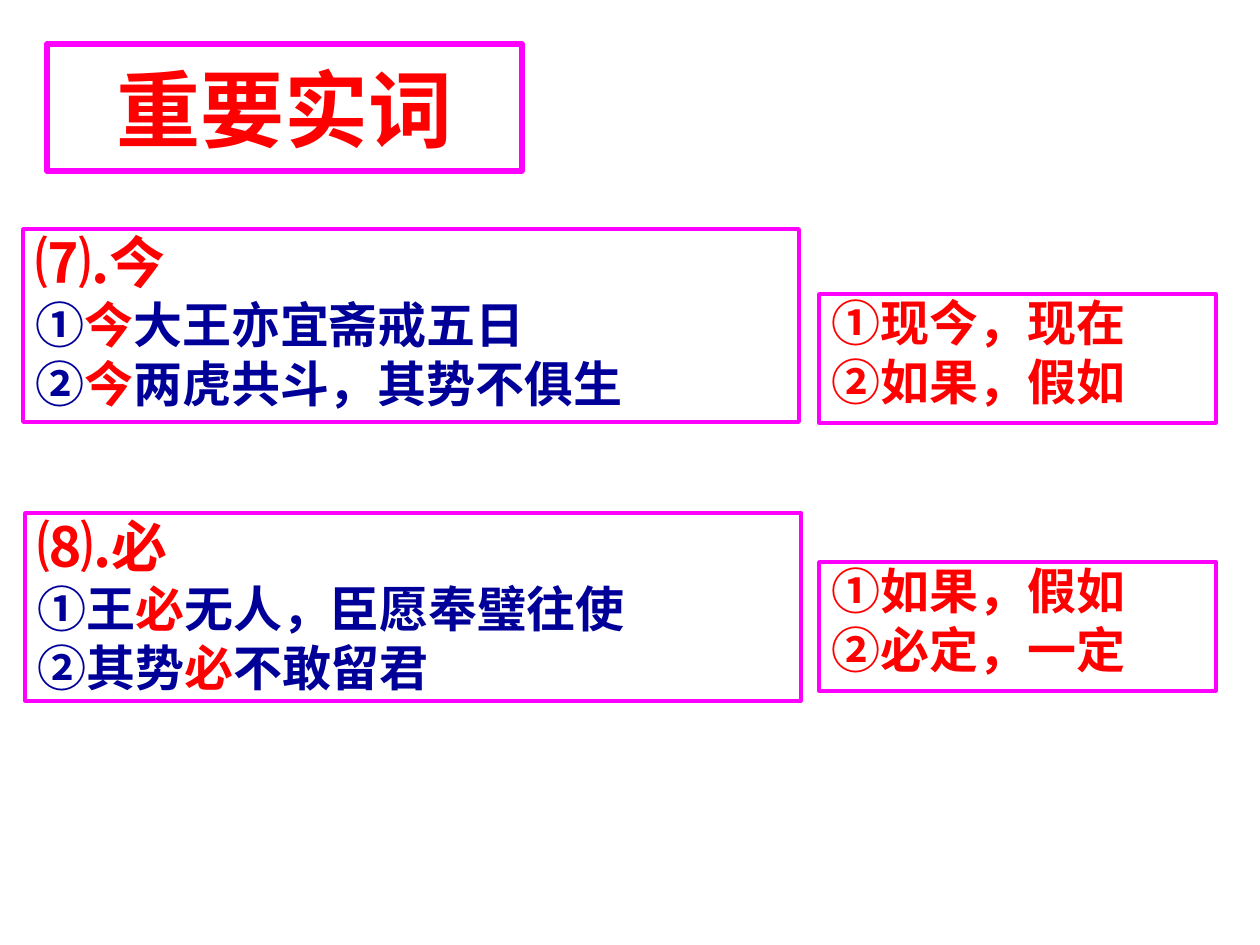
from lxml import etree
from pptx import Presentation
from pptx.dml.color import RGBColor
from pptx.enum.text import MSO_ANCHOR, PP_ALIGN
from pptx.oxml.ns import qn
from pptx.util import Emu, Pt

MIDDLE = MSO_ANCHOR.MIDDLE
CENTER = PP_ALIGN.CENTER
PX_PER_INCH = 126
CJK_FONT = "Noto Sans CJK SC"
RED, NAVY, MAGENTA = "FF0000", "000099", "FF00FF"


def px(length):
    return Emu(round(length * 914400 / PX_PER_INCH))


def color(hex_value):
    return RGBColor.from_string(hex_value)


class WordSlide:
    """Holds the slide and the style of its framed texts."""
    hanging = 48
    heading_size, heading_leading = 32, 34
    line_size, line_leading, line_gap = 28, 29, 4.7

    def __init__(self, slide):
        self.slide = slide

    def frame(self, left, top, width, height, border=2):
        box = self.slide.shapes.add_textbox(px(left), px(top), px(width), px(height))
        box.line.color.rgb = color(MAGENTA)
        box.line.width = Pt(border)
        box.text_frame.word_wrap = True
        return box.text_frame

    def run(self, paragraph, text, size, hex_value, font=CJK_FONT):
        run = paragraph.add_run()
        run.text = text
        run.font.name = font
        run.font.size = Pt(size)
        run.font.bold = True
        run.font.color.rgb = color(hex_value)
        east_asian = etree.SubElement(run._r.get_or_add_rPr(), qn("a:ea"))
        east_asian.set("typeface", CJK_FONT)

    def title(self, text, *place):
        frame = self.frame(*place, border=3)
        frame.vertical_anchor = MIDDLE
        paragraph = frame.paragraphs[0]
        paragraph.alignment = CENTER
        self.run(paragraph, text, 48, RED, "Times New Roman")

    def hang(self, paragraph, leading):
        properties = paragraph._p.get_or_add_pPr()
        properties.set("marL", str(px(self.hanging)))
        properties.set("indent", str(-px(self.hanging)))
        paragraph.line_spacing = Pt(leading)

    def lines(self, place, lines, heading=None):
        """Each line is a list of (text, colour) pairs."""
        frame = self.frame(*place)
        paragraph = frame.paragraphs[0]
        if heading:
            self.hang(paragraph, self.heading_leading)
            self.run(paragraph, heading, self.heading_size, RED)
        for index, parts in enumerate(lines):
            if heading or index:
                paragraph = frame.add_paragraph()
                paragraph.space_before = Pt(self.line_gap)
            self.hang(paragraph, self.line_leading)
            for text, hex_value in parts:
                self.run(paragraph, text, self.line_size, hex_value)

    def examples(self, heading, keyword, sentences, *place):
        """Sentences in navy, with the keyword between their two parts in red."""
        self.lines(place, [[(before, NAVY), (keyword, RED), (after, NAVY)]
                           for before, after in sentences], heading)

    def meanings(self, meanings, *place):
        self.lines(place, [[(meaning, RED)] for meaning in meanings])


def main():
    deck = Presentation()
    deck.slide_width, deck.slide_height = px(1260), px(945)
    words = WordSlide(deck.slides.add_slide(deck.slide_layouts[6]))

    words.title("重要实词", 47, 44, 475, 127)
    words.examples("⑺.今", "今",
                   [("①", "大王亦宜斋戒五日"), ("②", "两虎共斗，其势不俱生")],
                   23, 229, 776, 193)
    words.meanings(["①现今，现在", "②如果，假如"], 819, 294, 397, 129)
    words.examples("⑻.必", "必",
                   [("①王", "无人，臣愿奉璧往使"), ("②其势", "不敢留君")],
                   25, 513, 776, 188)
    words.meanings(["①如果，假如", "②必定，一定"], 819, 562, 397, 129)

    deck.save("out.pptx")


if __name__ == "__main__":
    main()
